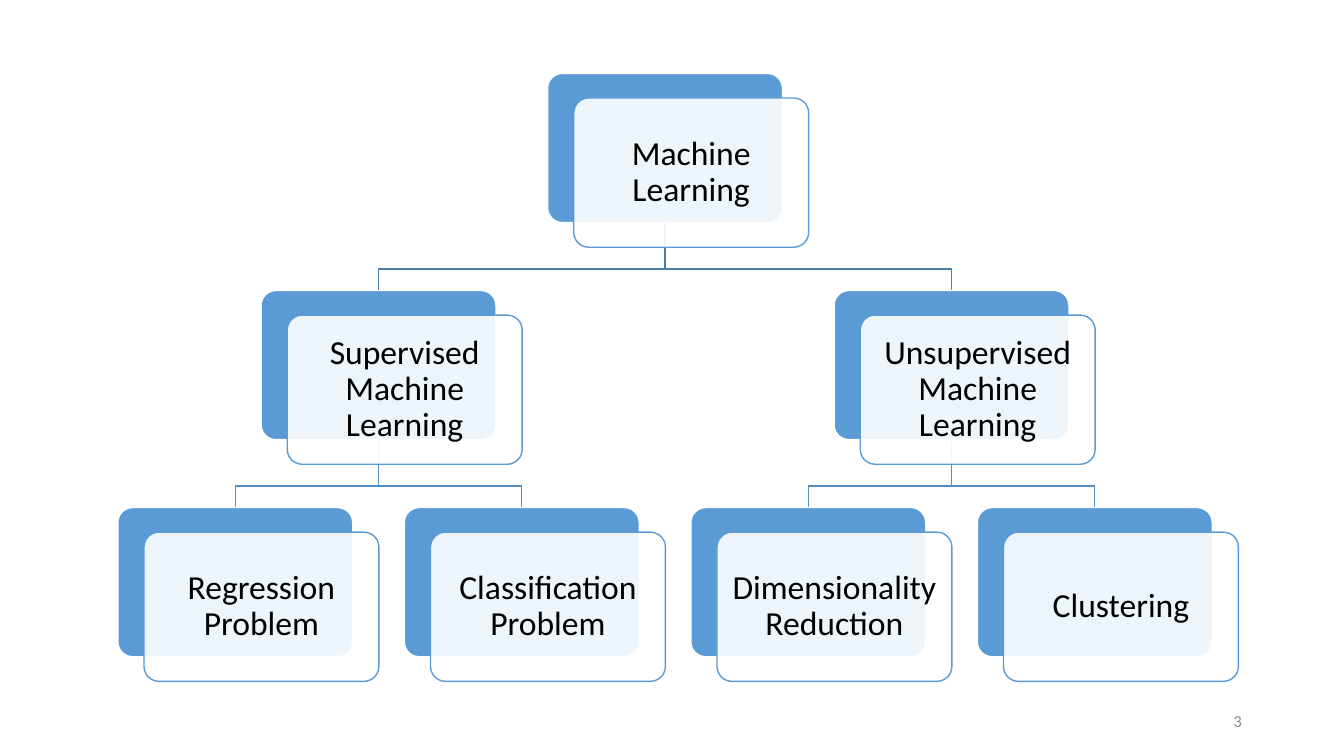
from dataclasses import dataclass

import pptx
import pptx.dml.color
import pptx.enum.shapes
import pptx.enum.text
import pptx.oxml
import pptx.oxml.ns
import pptx.util
from pptx.util import Cm

RGB = pptx.dml.color.RGBColor.from_string
ALIGN = pptx.enum.text.PP_ALIGN


@dataclass(frozen=True)
class Theme:
    """Colours, font and type sizes of the slide."""
    blue: str = "5B9BD5"
    white: str = "FFFFFF"
    black: str = "000000"
    grey: str = "8C8C8C"
    link_by_level: tuple = ("497CAB", "538DC1")
    font: str = "Calibri"
    card_size: int = 24
    number_size: int = 12


THEME = Theme()
CARD_WIDTH, CARD_HEIGHT = Cm(5.92), Cm(3.76)
COLUMN_STEP, LEVEL_STEP = Cm(7.22), Cm(5.47)
TREE_LEFT, TREE_TOP = Cm(2.97), Cm(1.85)
PANEL_SHIFT_X, PANEL_SHIFT_Y = Cm(0.66), Cm(0.62)
BEND_DROP = Cm(1.17)

TREE = ("Machine Learning", [
    ("Supervised Machine Learning", [
        ("Regression Problem", []),
        ("Classification Problem", []),
    ]),
    ("Unsupervised Machine Learning", [
        ("Dimensionality Reduction", []),
        ("Clustering", []),
    ]),
])


def place(topic, level=0, first_leaf=0):
    """Return the topic's cards, parent first, and the number of leaves used."""
    label, children = topic
    branches, leaves = [], 0
    for child in children:
        branch, used = place(child, level + 1, first_leaf + leaves)
        branches.append(branch)
        leaves += used
    if branches:
        column = (branches[0]["column"] + branches[-1]["column"]) / 2
    else:
        column, leaves = first_leaf, 1
    card = {"label": label, "level": level, "column": column, "branches": branches}
    return card, leaves


def corner(card):
    """Return the left and top of a card's blue back."""
    return (TREE_LEFT + int(card["column"] * COLUMN_STEP),
            TREE_TOP + card["level"] * LEVEL_STEP)


def write(frame, text, size, colour, align):
    """Write one run of text, centred vertically in a frame."""
    frame.word_wrap = True
    frame.vertical_anchor = pptx.enum.text.MSO_ANCHOR.MIDDLE
    paragraph = frame.paragraphs[0]
    paragraph.alignment = align
    run = paragraph.add_run()
    run.text = text
    run.font.name = THEME.font
    run.font.size = pptx.util.Pt(size)
    run.font.color.rgb = RGB(colour)
    return paragraph


def add_rounded(slide, left, top, fill, line):
    """Add one rounded rectangle of card size."""
    box = slide.shapes.add_shape(
        pptx.enum.shapes.MSO_SHAPE.ROUNDED_RECTANGLE,
        left, top, CARD_WIDTH, CARD_HEIGHT)
    box.adjustments[0] = 0.1
    box.shadow.inherit = False
    box.fill.solid()
    box.fill.fore_color.rgb = RGB(fill)
    box.line.color.rgb = RGB(line)
    box.line.width = pptx.util.Pt(1)
    return box


def add_card(slide, card):
    """Add a blue back with a translucent labelled panel over it."""
    left, top = corner(card)
    add_rounded(slide, left, top, THEME.blue, THEME.white)
    panel = add_rounded(slide, left + PANEL_SHIFT_X, top + PANEL_SHIFT_Y,
                        THEME.white, THEME.blue)
    colour = panel.fill._xPr.find(".//" + pptx.oxml.ns.qn("a:srgbClr"))
    colour.append(pptx.oxml.parse_xml(
        f'<a:alpha {pptx.oxml.ns.nsdecls("a")} val="90000"/>'))
    frame = panel.text_frame
    frame.margin_left = frame.margin_right = Cm(0.25)
    frame.margin_top = frame.margin_bottom = Cm(0.25)
    paragraph = write(frame, card["label"], THEME.card_size, THEME.black, ALIGN.CENTER)
    paragraph.line_spacing = 0.9


def add_link(slide, parent, child):
    """Add the bent line from a parent's bottom to a child's top."""
    parent_left, parent_top = corner(parent)
    child_left, child_top = corner(child)
    start_x, end_x = parent_left + CARD_WIDTH // 2, child_left + CARD_WIDTH // 2
    start_y = parent_top + CARD_HEIGHT
    bend_y = start_y + BEND_DROP
    outline = slide.shapes.build_freeform(start_x, start_y)
    outline.add_line_segments(
        [(start_x, bend_y), (end_x, bend_y), (end_x, child_top)], close=False)
    link = outline.convert_to_shape()
    link.shadow.inherit = False
    link.fill.background()
    link.line.color.rgb = RGB(THEME.link_by_level[parent["level"]])
    link.line.width = pptx.util.Pt(1)


def add_links(slide, card):
    """Add all links below a card."""
    for branch in card["branches"]:
        add_link(slide, card, branch)
        add_links(slide, branch)


def add_cards(slide, card):
    """Add a card and all cards below it."""
    add_card(slide, card)
    for branch in card["branches"]:
        add_cards(slide, branch)


def add_slide_number(slide, number):
    """Add the slide number at the bottom right."""
    box = slide.shapes.add_textbox(Cm(23.93), Cm(17.65), Cm(7.62), Cm(1.02))
    write(box.text_frame, number, THEME.number_size, THEME.grey, ALIGN.RIGHT)


def main():
    """Build the slide and save it."""
    deck = pptx.Presentation()
    deck.slide_width, deck.slide_height = Cm(33.87), Cm(19.05)
    slide = deck.slides.add_slide(deck.slide_layouts[6])
    root, _ = place(TREE)
    add_links(slide, root)
    add_cards(slide, root)
    add_slide_number(slide, "3")
    deck.save("out.pptx")


if __name__ == "__main__":
    main()
